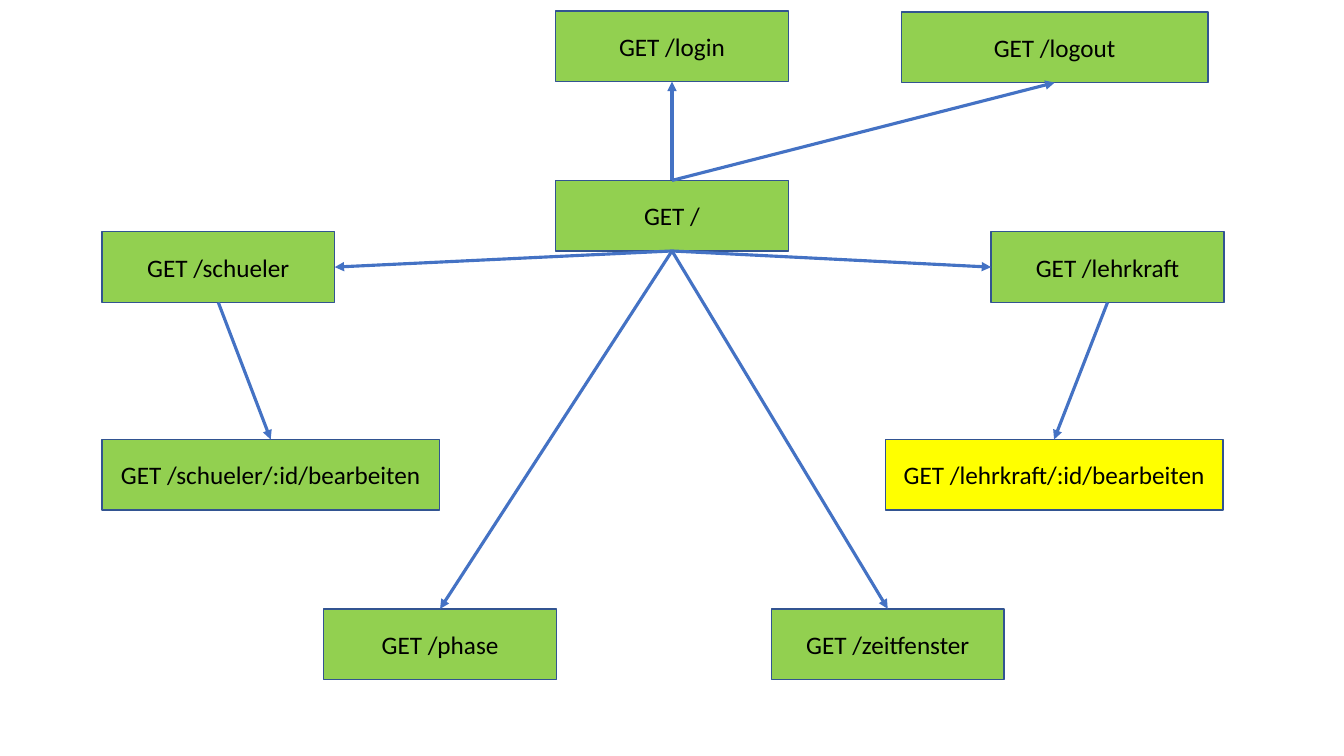
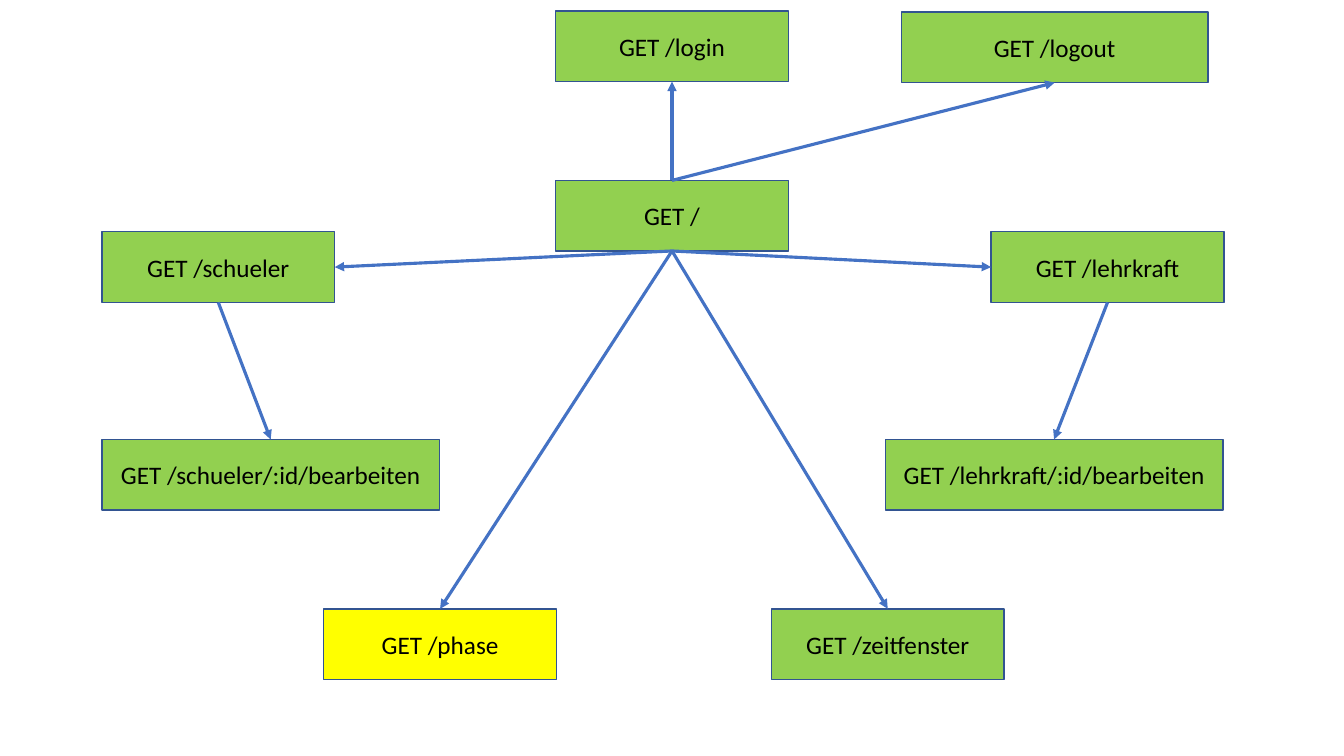
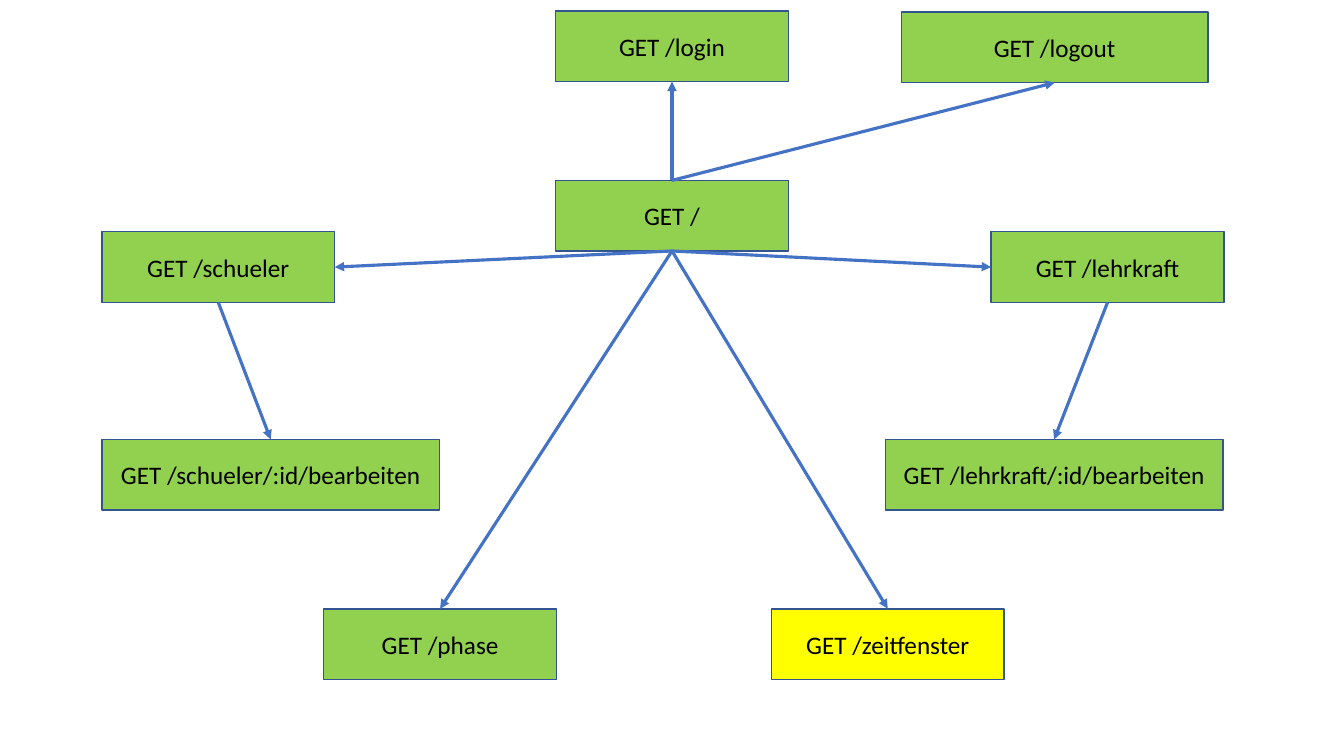
from pptx import Presentation
from pptx.dml.color import RGBColor
from pptx.enum import shapes, text
from pptx.oxml.ns import qn
from pptx.util import Inches, Pt
from lxml import etree

GREEN = RGBColor(0x92, 0xD0, 0x50)
YELLOW = RGBColor(0xFF, 0xFF, 0x00)
NAVY = RGBColor(0x32, 0x54, 0x91)
BLUE = RGBColor(0x44, 0x72, 0xC4)
BLACK = RGBColor(0, 0, 0)

TOP, LEFT, BOTTOM, RIGHT = range(4)
BOX_W, WIDE_W, BOX_H = 2.31, 3.35, 0.7

ROUTES = {
    "/": (5.51, 1.79, BOX_W),
    "/schueler": (1.01, 2.3, BOX_W),
    "/schueler/:id/bearbeiten": (1.01, 4.36, WIDE_W),
    "/phase": (3.21, 6.04, BOX_W),
    "/login": (5.51, 0.11, BOX_W),
    "/lehrkraft/:id/bearbeiten": (8.78, 4.36, WIDE_W),
    "/lehrkraft": (9.83, 2.3, BOX_W),
    "/zeitfenster": (7.65, 6.04, BOX_W),
    "/logout": (8.94, 0.12, 3.04),
}
ARROWS = [
    ("/", BOTTOM, "/schueler", RIGHT),
    ("/", BOTTOM, "/phase", TOP),
    ("/", BOTTOM, "/zeitfenster", TOP),
    ("/", BOTTOM, "/lehrkraft", LEFT),
    ("/schueler", BOTTOM, "/schueler/:id/bearbeiten", TOP),
    ("/lehrkraft", BOTTOM, "/lehrkraft/:id/bearbeiten", TOP),
    ("/", TOP, "/login", BOTTOM),
    ("/", TOP, "/logout", BOTTOM),
]
HIGHLIGHTS = ["/lehrkraft/:id/bearbeiten", "/phase", "/zeitfenster"]


def write(tf, content, font="Calibri", size=18, color=BLACK):
    tf.word_wrap = True
    tf.vertical_anchor = text.MSO_ANCHOR.MIDDLE
    p = tf.paragraphs[0]
    p.alignment = text.PP_ALIGN.CENTER
    r = p.add_run()
    r.text = content
    r.font.name, r.font.size = font, Pt(size)
    r.font.color.rgb = color


def add_route(s, route, fill):
    left, top, width = ROUTES[route]
    sp = s.shapes.add_shape(shapes.MSO_SHAPE.RECTANGLE, Inches(left), Inches(top),
                            Inches(width), Inches(BOX_H))
    sp.shadow.inherit = False
    sp.fill.solid()
    sp.fill.fore_color.rgb = fill
    sp.line.color.rgb = NAVY
    sp.line.width = Pt(1)
    write(sp.text_frame, f"GET {route}")
    return sp


def add_arrow(s, source, source_side, target, target_side):
    arrow = s.shapes.add_connector(shapes.MSO_CONNECTOR.STRAIGHT, 0, 0, 0, 0)
    arrow.begin_connect(source, source_side)
    arrow.end_connect(target, target_side)
    arrow.line.color.rgb = BLUE
    arrow.line.width = Pt(2.25)
    etree.SubElement(arrow.line._get_or_add_ln(), qn("a:tailEnd"), type="triangle")
    etree.SubElement(arrow._element.spPr, qn("a:effectLst"))


prs = Presentation()
prs.slide_width, prs.slide_height = Inches(13.33), Inches(7.5)
for highlight in HIGHLIGHTS:
    s = prs.slides.add_slide(prs.slide_layouts[6])
    boxes = {route: add_route(s, route, YELLOW if route == highlight else GREEN)
             for route in ROUTES}
    for source, source_side, target, target_side in ARROWS:
        add_arrow(s, boxes[source], source_side, boxes[target], target_side)
prs.save("out.pptx")
